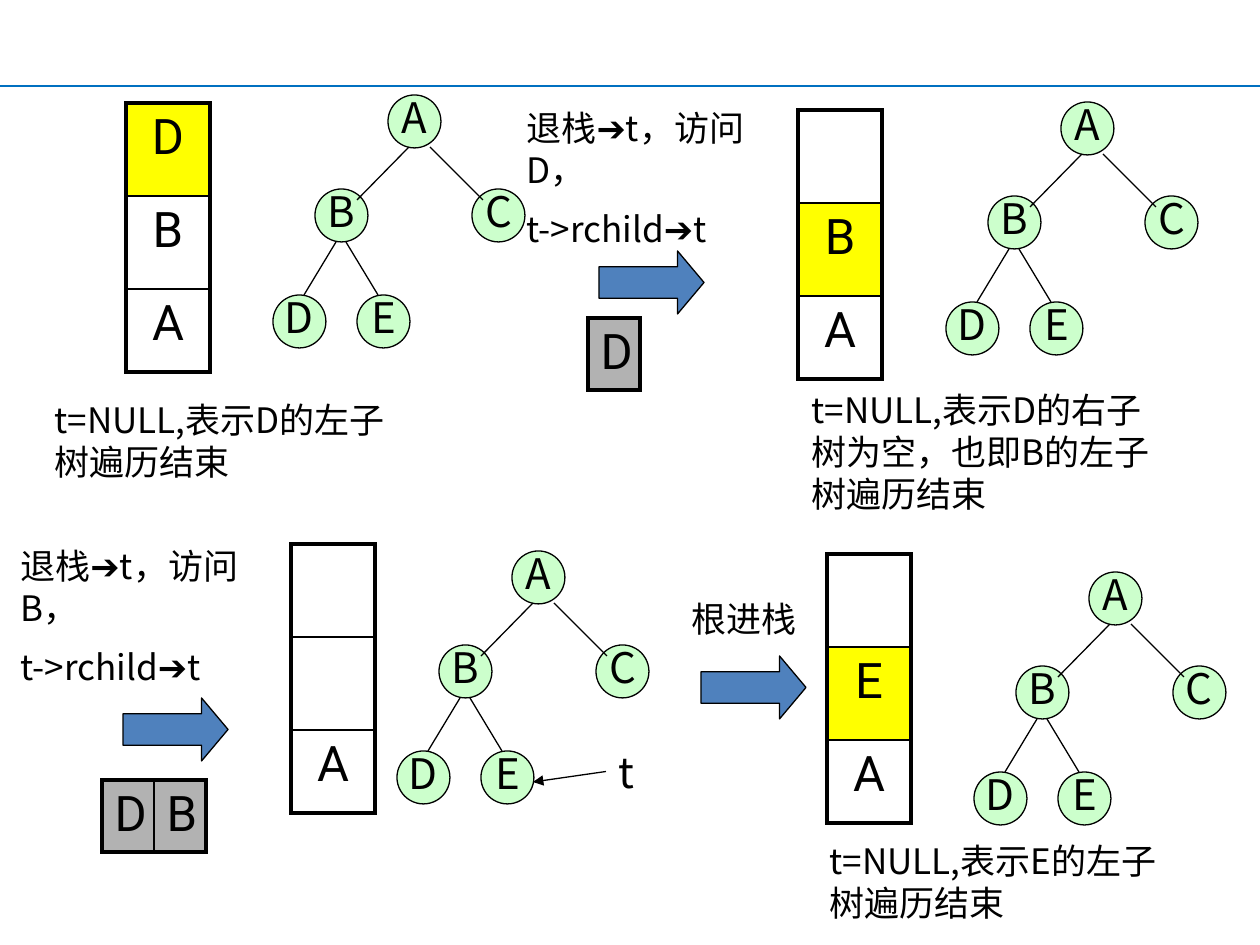
from dataclasses import dataclass

import pptx
import pptx.dml.color
import pptx.enum.shapes
import pptx.enum.text
import pptx.oxml.ns
import pptx.util
from lxml import etree

EMU_PER_PX = 914400 / 126
COLORS = {
    "ink": "000000",
    "rule": "0070C0",
    "node": "CCFFCC",
    "arrow": "4F81BD",
    "top": "FFFF00",
    "visited": "B2B2B2",
}
CJK, LATIN = "Noto Sans CJK SC", "Roboto"
OUTER, INNER = 2.25, 1
ALIGN = pptx.enum.text.PP_ALIGN
SHAPE = pptx.enum.shapes.MSO_SHAPE

NODE_SIZE = 53
NODES = {"A": (0, 0), "B": (-73, 94), "C": (84, 94), "D": (-115, 200), "E": (-31, 200)}
EDGES = [
    ((21, 52), (-31, 105)),
    ((42, 52), (95, 105)),
    ((-52, 147), (-84, 200)),
    ((-42, 147), (-10, 200)),
]


@dataclass(frozen=True)
class Grid:
    """A stack or a list of visited nodes; rows of cells, each a (label, fill) pair."""
    left: int
    top: int
    widths: list[int]
    heights: list[int]
    rows: list[list[tuple[str, str | None]]]
    align: ALIGN


@dataclass(frozen=True)
class Note:
    left: int
    top: int
    width: int
    height: int
    text: str
    size: int = 20


def stack(left: int, top: int, *cells: tuple[str, str | None]) -> Grid:
    return Grid(left, top, [84], [93, 93, 83], [[cell] for cell in cells], ALIGN.CENTER)


def visited(left: int, top: int, labels: str) -> Grid:
    cells = [(label, "visited") for label in labels]
    return Grid(left, top, [52] * len(labels), [72], [cells], ALIGN.LEFT)


EMPTY, BOTTOM = ("", None), ("A", None)
GRIDS = [
    stack(126, 103, ("D", "top"), ("B", None), BOTTOM),
    stack(798, 110, EMPTY, ("B", "top"), BOTTOM),
    stack(827, 554, EMPTY, ("E", "top"), BOTTOM),
    stack(291, 544, EMPTY, EMPTY, BOTTOM),
    visited(588, 318, "D"),
    visited(102, 780, "DB"),
]
TREE_ROOTS = [(388, 95), (1061, 102), (1089, 572), (512, 551)]
STEP_ARROWS = [(599, 251), (701, 656), (123, 698)]
NOTES = [
    Note(514, 100, 273, 160, "退栈➔t，访问D，\nt->rchild➔t"),
    Note(799, 382, 368, 139, "t=NULL,表示D的右子树为空，也即B的左子树遍历结束"),
    Note(8, 538, 294, 160, "退栈➔t，访问B，\nt->rchild➔t"),
    Note(679, 591, 158, 54, "根进栈"),
    Note(817, 833, 368, 97, "t=NULL,表示E的左子树遍历结束"),
    Note(42, 392, 368, 97, "t=NULL,表示D的左子树遍历结束"),
]
POINTER = Note(606, 740, 116, 63, "t", 24)
POINTER_TIP = (533, 782)


def px(length: int) -> pptx.util.Emu:
    return pptx.util.Emu(round(length * EMU_PER_PX))


def rgb(name: str) -> pptx.dml.color.RGBColor:
    return pptx.dml.color.RGBColor.from_string(COLORS[name])


def add_element(parent, tag: str, **attributes: str):
    return etree.SubElement(parent, pptx.oxml.ns.qn(tag), **attributes)


def write(frame, text: str, *, size: int, font: str = CJK, align: ALIGN = ALIGN.LEFT,
          line_spacing: float | None = None, gap: int = 0) -> None:
    """Fill a text frame, one paragraph a line, with gap points between paragraphs."""
    for index, line in enumerate(text.split("\n")):
        paragraph = frame.add_paragraph() if index else frame.paragraphs[0]
        paragraph.alignment = align
        if line_spacing:
            paragraph.line_spacing = line_spacing
        if index:
            paragraph.space_before = pptx.util.Pt(gap)
        run = paragraph.add_run()
        run.text = line
        run.font.size = pptx.util.Pt(size)
        run.font.name = font
        run.font.color.rgb = rgb("ink")
        add_element(run.font._element, "a:ea", typeface=CJK)


def draw_line(slide, start: tuple[int, int], end: tuple[int, int],
              color: str = "ink", width: float = 0.75):
    line = slide.shapes.add_connector(
        pptx.enum.shapes.MSO_CONNECTOR.STRAIGHT, *map(px, (*start, *end)))
    line.line.color.rgb = rgb(color)
    line.line.width = pptx.util.Pt(width)
    add_element(line._element.spPr, "a:effectLst")
    return line


def draw_shape(slide, kind: SHAPE, left: int, top: int, width: int, height: int, fill: str):
    shape = slide.shapes.add_shape(kind, *map(px, (left, top, width, height)))
    shape.shadow.inherit = False
    shape.fill.solid()
    shape.fill.fore_color.rgb = rgb(fill)
    shape.line.color.rgb = rgb("ink")
    shape.line.width = pptx.util.Pt(0.75)
    return shape


def draw_tree(slide, left: int, top: int) -> None:
    for label, (dx, dy) in NODES.items():
        node = draw_shape(slide, SHAPE.OVAL, left + dx, top + dy, NODE_SIZE, NODE_SIZE, "node")
        node.text_frame.word_wrap = False
        node.text_frame.vertical_anchor = pptx.enum.text.MSO_ANCHOR.MIDDLE
        write(node.text_frame, label, size=24, align=ALIGN.CENTER, line_spacing=0.8)
    for ends in EDGES:
        draw_line(slide, *((left + dx, top + dy) for dx, dy in ends))


def draw_step_arrow(slide, left: int, top: int) -> None:
    arrow = draw_shape(slide, SHAPE.RIGHT_ARROW, left, top, 105, 63, "arrow")
    arrow.adjustments[0], arrow.adjustments[1] = 0.5, 0.42


def draw_note(slide, note: Note):
    box = slide.shapes.add_textbox(*map(px, (note.left, note.top, note.width, note.height)))
    box.text_frame.word_wrap = True
    box.text_frame.auto_size = pptx.enum.text.MSO_AUTO_SIZE.SHAPE_TO_FIT_TEXT
    write(box.text_frame, note.text, size=note.size, gap=note.size // 2)
    return box


def set_borders(cell, widths: dict[str, float]) -> None:
    properties = cell._tc.get_or_add_tcPr()
    for side, width in widths.items():
        border = add_element(properties, f"a:ln{side}", w=str(pptx.util.Pt(width)))
        add_element(add_element(border, "a:solidFill"), "a:srgbClr", val=COLORS["ink"])


def draw_grid(slide, grid: Grid) -> None:
    last_row, last_column = len(grid.heights) - 1, len(grid.widths) - 1
    table = slide.shapes.add_table(
        last_row + 1, last_column + 1,
        *map(px, (grid.left, grid.top, sum(grid.widths), sum(grid.heights)))).table
    table.first_row = table.horz_banding = False
    for column, width in zip(table.columns, grid.widths):
        column.width = px(width)
    for r, entries in enumerate(grid.rows):
        table.rows[r].height = px(grid.heights[r])
        for c, (label, fill) in enumerate(entries):
            cell = table.cell(r, c)
            on_edge = {"L": c == 0, "R": c == last_column, "T": r == 0, "B": r == last_row}
            set_borders(cell, {side: OUTER if edge else INNER for side, edge in on_edge.items()})
            if fill:
                cell.fill.solid()
                cell.fill.fore_color.rgb = rgb(fill)
            else:
                cell.fill.background()
            if label:
                write(cell.text_frame, label, size=28, font=LATIN, align=grid.align)


def main() -> None:
    deck = pptx.Presentation()
    deck.slide_width, deck.slide_height = px(1260), px(945)
    slide = deck.slides.add_slide(deck.slide_layouts[6])
    draw_line(slide, (0, 86), (1260, 86), "rule", 1.5)
    for root in TREE_ROOTS:
        draw_tree(slide, *root)
    for corner in STEP_ARROWS:
        draw_step_arrow(slide, *corner)
    for grid in GRIDS:
        draw_grid(slide, grid)
    for note in NOTES:
        draw_note(slide, note)
    pointer = draw_note(slide, POINTER)
    pointer_arrow = draw_line(slide, (POINTER.left, POINTER.top), POINTER_TIP)
    pointer_arrow.begin_connect(pointer, 1)
    add_element(pointer_arrow.line._get_or_add_ln(), "a:tailEnd", type="triangle")
    deck.save("out.pptx")


if __name__ == "__main__":
    main()
